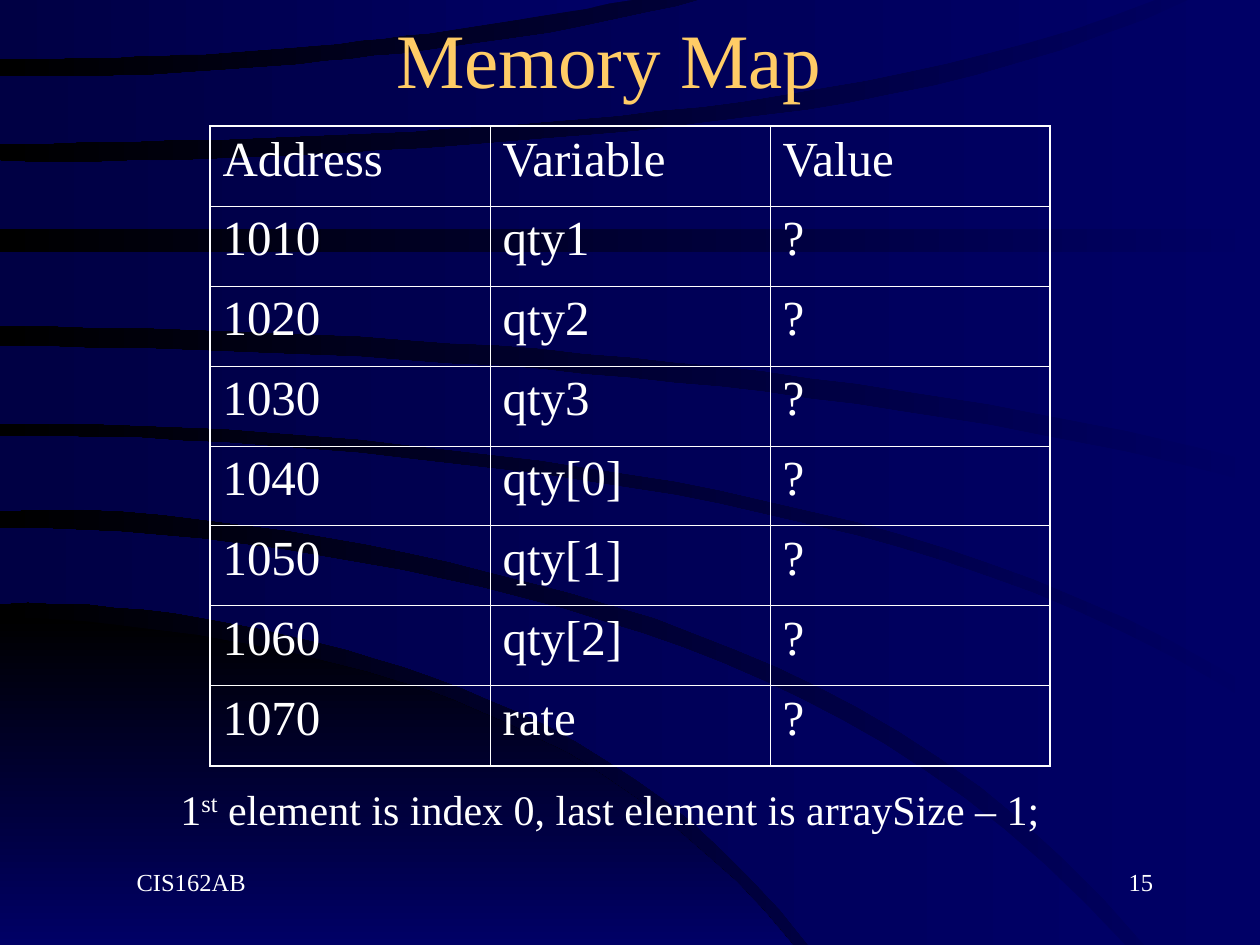
import dataclasses
import math

import lxml.etree
import pptx
import pptx.dml.color
import pptx.enum.text
import pptx.oxml.ns
import pptx.util

Pt = pptx.util.Pt
Align = pptx.enum.text.PP_ALIGN
Anchor = pptx.enum.text.MSO_ANCHOR

FONT = "Times New Roman"
WHITE, GOLD, BLACK, NAVY, DEEP_NAVY = "FFFFFF", "FFCC66", "000000", "000066", "000044"
WIDTH, HEIGHT = 720, 540
THICK, THIN = 1.08, 0.45
CURVE_STEPS = 28


@dataclasses.dataclass(frozen=True)
class Gradient:
    start: str
    end: str
    angle: int  # counter-clockwise, as python-pptx counts


BACKDROP = Gradient(NAVY, BLACK, 180)
SWEEP = Gradient(NAVY, DEEP_NAVY, 180)
RISE = Gradient(BLACK, NAVY, 270)


@dataclasses.dataclass(frozen=True)
class Edge:
    """A curve from the left side of the slide through evenly spaced heights."""
    width: float
    heights: tuple[float, ...]

    def height_at(self, position: float) -> float:
        """Lagrange interpolation; position counts in knots."""
        knots = range(len(self.heights))
        return sum(self.heights[i] * math.prod((position - j) / (i - j) for j in knots if j != i)
                   for i in knots)

    def points(self) -> list[tuple[float, float]]:
        spans = len(self.heights) - 1
        return [(self.width * s / CURVE_STEPS, self.height_at(spans * s / CURVE_STEPS))
                for s in range(CURVE_STEPS + 1)]


@dataclasses.dataclass(frozen=True)
class Band:
    upper: Edge
    lower: Edge
    gradient: Gradient = SWEEP

    def outline(self) -> list[tuple[float, float]]:
        corner = (self.upper.width, self.lower.heights[-1])
        return self.upper.points() + [corner] + self.lower.points()[::-1]


@dataclasses.dataclass(frozen=True)
class Piece:
    text: str
    size: float
    color: str = WHITE
    raised: bool = False


@dataclasses.dataclass(frozen=True)
class Label:
    left: float
    top: float
    width: float
    height: float
    pieces: list[Piece]
    align: Align = Align.LEFT
    indent: float = 0
    before: float = 0


# Sweeping bands, from back to front
BANDS = [
    Band(Edge(453, (353, 363, 389, 440, HEIGHT)), Edge(453, (HEIGHT, HEIGHT)), RISE),
    Band(Edge(643, (302, 314, 348, 412, HEIGHT)), Edge(462, (345, 353, 381, 434, HEIGHT))),
    Band(Edge(WIDTH, (249, 257, 279, 321, 405)), Edge(654, (292, 303, 339, 404, HEIGHT))),
    Band(Edge(WIDTH, (198, 203, 216, 239, 277)), Edge(WIDTH, (242, 249, 271, 313, 395))),
    Band(Edge(WIDTH, (144, 144)), Edge(WIDTH, (186, 191, 204, 227, 265))),
    Band(Edge(WIDTH, (131, 131)), Edge(679, (92, 89, 77, 54, 0))),
    Band(Edge(400, (44, 42, 34, 21, 0)), Edge(660, (82, 78, 68, 46, 0))),
    Band(Edge(361, (0, 0)), Edge(361, (34, 32, 26, 15, 0))),
]

VARIABLES = ["qty1", "qty2", "qty3", "qty[0]", "qty[1]", "qty[2]", "rate"]
MEMORY = [("Address", "Variable", "Value")] + [
    (str(1010 + 10 * i), variable, "?") for i, variable in enumerate(VARIABLES)]

LABELS = [
    Label(96, 444, 588, 36, [Piece("1", 24), Piece("st", 24, raised=True),
          Piece(" element is index 0, last element is arraySize – 1;", 24)], before=15),
    Label(516, 492, 150, 36, [Piece("15", 14)], Align.RIGHT, indent=17),
    Label(54, 492, 150, 36, [Piece("CIS162AB", 14)], indent=17),
]


def rgb(color: str) -> pptx.dml.color.RGBColor:
    return pptx.dml.color.RGBColor.from_string(color)


def fill_gradient(fill, gradient: Gradient) -> None:
    fill.gradient()
    fill.gradient_angle = gradient.angle
    for stop, color in zip(fill.gradient_stops, (gradient.start, gradient.end)):
        stop.color.rgb = rgb(color)


def add_pieces(paragraph, pieces: list[Piece]) -> None:
    for piece in pieces:
        run = paragraph.add_run()
        run.text = piece.text
        run.font.name = FONT
        run.font.size = Pt(piece.size)
        run.font.color.rgb = rgb(piece.color)
        if piece.raised:
            run.font._element.set("baseline", "30000")


def draw_band(slide, band: Band) -> None:
    start, *rest = band.outline()
    builder = slide.shapes.build_freeform(*start, scale=Pt(1))
    builder.add_line_segments(rest, close=True)
    sweep = builder.convert_to_shape()
    sweep.shadow.inherit = False
    sweep.line.fill.background()
    fill_gradient(sweep.fill, band.gradient)


def draw_label(slide, label: Label) -> None:
    box = slide.shapes.add_textbox(Pt(label.left), Pt(label.top), Pt(label.width), Pt(label.height))
    box.text_frame.word_wrap = True
    paragraph = box.text_frame.paragraphs[0]
    paragraph.alignment = label.align
    paragraph.space_before = Pt(label.before)
    if label.indent:
        paragraph._p.get_or_add_pPr().set("marL", str(Pt(label.indent)))
    add_pieces(paragraph, label.pieces)


def set_border(cell, side: str, width: float) -> None:
    qn = pptx.oxml.ns.qn
    line = lxml.etree.SubElement(cell._tc.get_or_add_tcPr(), qn(f"a:ln{side}"), w=str(Pt(width)))
    solid = lxml.etree.SubElement(line, qn("a:solidFill"))
    lxml.etree.SubElement(solid, qn("a:srgbClr"), val=WHITE)


def draw_memory(slide) -> None:
    last_row, last_column = len(MEMORY) - 1, len(MEMORY[0]) - 1
    frame = slide.shapes.add_table(len(MEMORY), len(MEMORY[0]), Pt(120), Pt(72), Pt(480), Pt(365.76))
    table = frame.table
    table.first_row = table.horz_banding = False
    for r, entries in enumerate(MEMORY):
        for c, entry in enumerate(entries):
            cell = table.cell(r, c)
            outer = {"L": c == 0, "R": c == last_column, "T": r == 0, "B": r == last_row}
            for side, is_outer in outer.items():
                set_border(cell, side, THICK if is_outer else THIN)
            cell.fill.background()
            paragraph = cell.text_frame.paragraphs[0]
            paragraph.space_before = Pt(7)
            add_pieces(paragraph, [Piece(entry, 28)])


def draw_title(slide) -> None:
    heading = slide.shapes.title
    heading.left, heading.top, heading.width, heading.height = Pt(42), Pt(0), Pt(612), Pt(66)
    heading.text_frame.vertical_anchor = Anchor.MIDDLE
    paragraph = heading.text_frame.paragraphs[0]
    paragraph.alignment = Align.CENTER
    add_pieces(paragraph, [Piece("Memory Map", 44, GOLD)])
    slide.shapes._spTree.append(heading._element)  # in front of the bands


def main() -> None:
    deck = pptx.Presentation()
    deck.slide_width, deck.slide_height = Pt(WIDTH), Pt(HEIGHT)
    slide = deck.slides.add_slide(deck.slide_layouts[5])
    # Backdrop
    fill_gradient(slide.background.fill, BACKDROP)
    for band in BANDS:
        draw_band(slide, band)
    # Content
    draw_title(slide)
    draw_memory(slide)
    for label in LABELS:
        draw_label(slide, label)
    deck.save("out.pptx")


if __name__ == "__main__":
    main()
